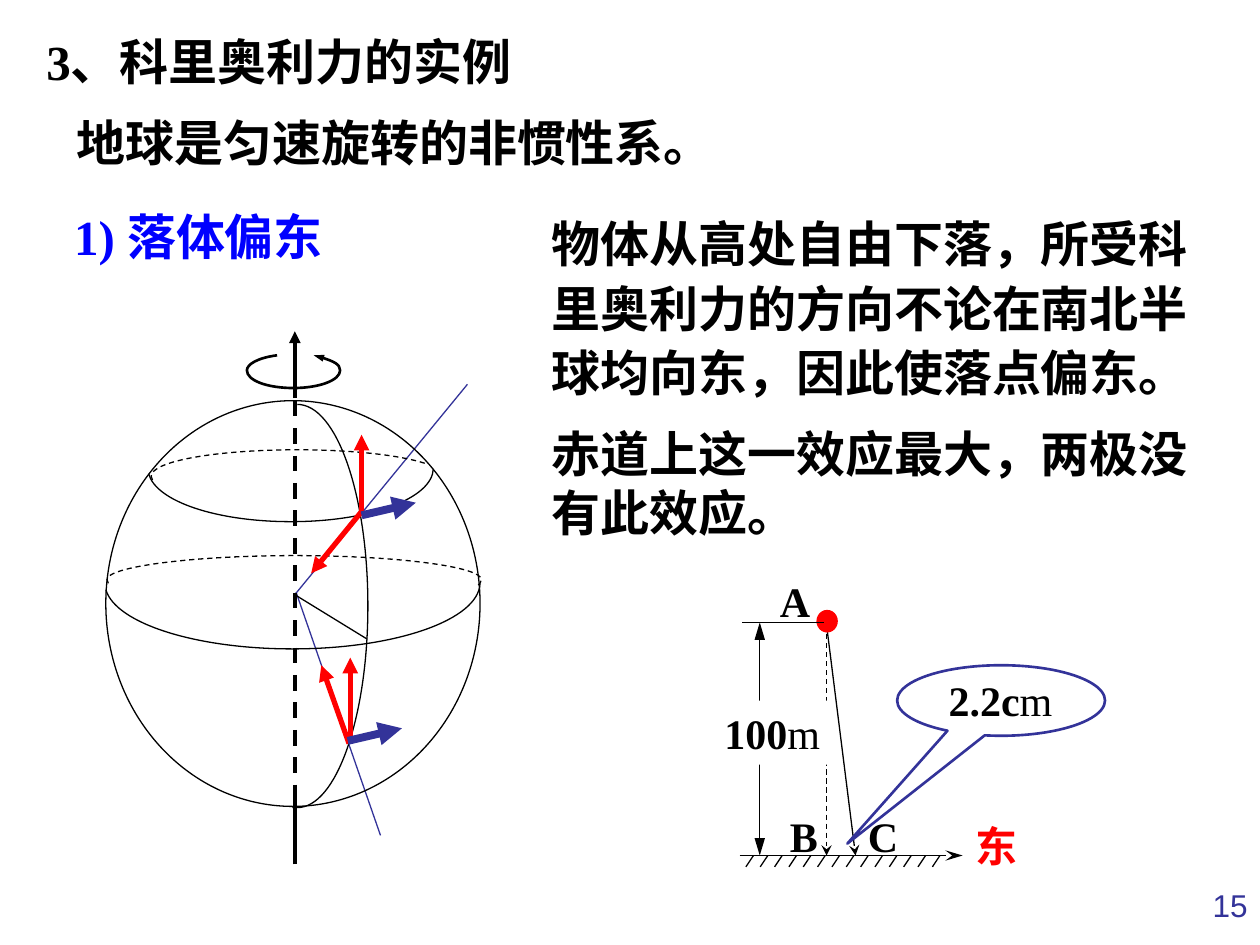
from lxml import etree
from pptx import Presentation
from pptx.dml.color import RGBColor
from pptx.enum.dml import MSO_LINE
from pptx.enum.shapes import MSO_CONNECTOR, MSO_SHAPE
from pptx.enum.text import PP_ALIGN
from pptx.oxml.ns import qn
from pptx.util import Inches, Pt

BLACK = RGBColor(0x00, 0x00, 0x00)
WHITE = RGBColor(0xFF, 0xFF, 0xFF)
RED = RGBColor(0xFF, 0x00, 0x00)
BLUE = RGBColor(0x00, 0x00, 0xFF)
INDIGO = RGBColor(0x33, 0x33, 0x99)

DASH = MSO_LINE.DASH
STRAIGHT = MSO_CONNECTOR.STRAIGHT
ELLIPSE = MSO_SHAPE.OVAL
RECTANGLE = MSO_SHAPE.RECTANGLE
CALLOUT = MSO_SHAPE.OVAL_CALLOUT
LEFT = PP_ALIGN.LEFT
RIGHT = PP_ALIGN.RIGHT

SERIF = "Times New Roman"
SANS = "Arial"

ARROW = {"type": "triangle"}
LONG_ARROW = {"type": "triangle", "len": "lg"}
NARROW_ARROW = {"type": "triangle", "w": "sm"}
STEALTH = {"type": "stealth"}
LONG_STEALTH = {"type": "stealth", "len": "lg"}


def style_line(line, color, width, dash=None, head=None, tail=None):
    line.color.rgb = color
    line.width = Pt(width)
    if dash:
        line.dash_style = dash
    ln = line._get_or_add_ln()
    for tag, arrowhead in (("a:headEnd", head), ("a:tailEnd", tail)):
        if arrowhead:
            etree.SubElement(ln, qn(tag), arrowhead)


def add_line(slide, start, end, color=BLACK, width=0.75, **style):
    points = [Inches(value) for value in (*start, *end)]
    connector = slide.shapes.add_connector(STRAIGHT, *points)
    style_line(connector.line, color, width, **style)
    etree.SubElement(connector._element.spPr, qn("a:effectLst"))


def add_curve(slide, start, segments, width=0.75, **style):
    """Draw an open chain of cubic Bezier segments (control, control, end)."""
    builder = slide.shapes.build_freeform(Inches(start[0]), Inches(start[1]))
    ends = [(Inches(x), Inches(y)) for _, _, (x, y) in segments]
    builder.add_line_segments(ends, close=False)
    curve = builder.convert_to_shape()
    straight_parts = list(curve._element.spPr.iter(qn("a:lnTo")))
    for straight, segment in zip(straight_parts, segments):
        bezier = etree.Element(qn("a:cubicBezTo"))
        for x, y in segment:
            etree.SubElement(bezier, qn("a:pt"), x=str(Inches(x) - curve.left),
                             y=str(Inches(y) - curve.top))
        straight.getparent().replace(straight, bezier)
    curve.shadow.inherit = False
    curve.fill.background()
    style_line(curve.line, BLACK, width, **style)


def add_preset(slide, kind, box, fill=None, line=None, width=0.75):
    shape = slide.shapes.add_shape(kind, *[Inches(value) for value in box])
    shape.shadow.inherit = False
    if fill is None:
        shape.fill.background()
    else:
        shape.fill.solid()
        shape.fill.fore_color.rgb = fill
    if line is None:
        shape.line.fill.background()
    else:
        style_line(shape.line, line, width)
    return shape


def write(shape, text, size, color=BLACK, font=SERIF, bold=True, align=LEFT,
          spacing=None, unit="", wrap=True):
    """Fill the shape with one paragraph; a unit follows in regular weight."""
    frame = shape.text_frame
    frame.word_wrap = wrap
    paragraph = frame.paragraphs[0]
    paragraph.alignment = align
    if spacing:
        paragraph.line_spacing = spacing
    paragraph.font.name = font
    paragraph.font.size = Pt(size)
    paragraph.font.color.rgb = color
    paragraph.font.bold = None if unit else bold
    value_run = paragraph.add_run()
    value_run.text = text
    if unit:
        value_run.font.bold = bold
        paragraph.add_run().text = unit


def add_text(slide, box, text, size=28, **style):
    textbox = slide.shapes.add_textbox(*[Inches(value) for value in box])
    write(textbox, text, size, **style)


def add_paragraphs(slide):
    add_text(slide, (7.67, 6.98, 2.33, 0.52), "15", size=18, color=INDIGO,
             font=SANS, bold=False, align=RIGHT)
    add_text(slide, (0.49, 1.59, 8.61, 0.57), "1) 落体偏东", color=BLUE)
    add_text(slide, (4.28, 1.6, 5.38, 1.66),
             "物体从高处自由下落，所受科里奥利力的方向不论在南北半球均向东，因此使落点偏东。",
             spacing=1.1)
    add_text(slide, (4.28, 3.31, 5.49, 1.04), "赤道上这一效应最大，两极没有此效应。")
    add_text(slide, (0.27, 0.2, 5.92, 0.57), "3、科里奥利力的实例")
    add_text(slide, (0.51, 0.84, 5.91, 0.57), "地球是匀速旋转的非惯性系。")


def add_globe(slide):
    center = (2.34, 4.72)
    axis_x = center[0]
    add_line(slide, (3.02, 6.63), (2.35, 4.7), INDIGO)
    add_line(slide, center, (3.71, 3.05), INDIGO)
    add_preset(slide, ELLIPSE, (0.84, 3.18, 2.97, 3.22), line=BLACK)

    # Equator: front half, then hidden half
    add_curve(slide, (0.84, 4.68), [
        ((0.92, 4.95), (1.56, 5.15), (2.32, 5.15)),
        ((3.14, 5.15), (3.8, 4.92), (3.81, 4.63))])
    add_curve(slide, (0.86, 4.63), [
        ((0.86, 4.62), (0.85, 4.61), (0.85, 4.6)),
        ((0.85, 4.5), (1.52, 4.41), (2.34, 4.41)),
        ((3.16, 4.41), (3.82, 4.5), (3.82, 4.6)),
        ((3.82, 4.62), (3.81, 4.63), (3.79, 4.65))], dash=DASH)

    # Northern parallel: front half, then hidden half
    add_curve(slide, (1.18, 3.76), [
        ((1.24, 3.98), (1.72, 4.14), (2.31, 4.14)),
        ((2.93, 4.14), (3.43, 3.96), (3.44, 3.72))])
    add_curve(slide, (1.21, 3.81), [
        ((1.21, 3.8), (1.2, 3.79), (1.2, 3.78)),
        ((1.2, 3.66), (1.72, 3.57), (2.36, 3.57)),
        ((2.78, 3.57), (3.17, 3.61), (3.38, 3.68))], dash=DASH)

    # Meridian
    add_curve(slide, (2.36, 3.21), [
        ((2.67, 3.21), (2.92, 3.92), (2.92, 4.81)),
        ((2.92, 5.69), (2.67, 6.41), (2.36, 6.41)),
        ((2.35, 6.41), (2.33, 6.41), (2.32, 6.41))])

    # Rotation axis and direction of rotation
    add_line(slide, (axis_x, 3.18), (axis_x, 6.41), width=2.25, dash=DASH)
    add_line(slide, (axis_x, 3.16), (axis_x, 2.63), width=2.25, tail=ARROW)
    add_line(slide, (axis_x, 6.86), (axis_x, 6.33), width=2.25)
    add_line(slide, center, (2.91, 5.07))
    add_curve(slide, (2.49, 2.82), [
        ((2.61, 2.85), (2.7, 2.89), (2.7, 2.94)),
        ((2.7, 3.02), (2.53, 3.08), (2.33, 3.08)),
        ((2.12, 3.08), (1.96, 3.02), (1.96, 2.94)),
        ((1.96, 2.89), (2.05, 2.84), (2.2, 2.82))], width=1.5, head=NARROW_ARROW)

    # Velocity, angular velocity and Coriolis force in each hemisphere
    for start, end, color, width in (
            ((2.87, 4.06), (2.47, 4.55), RED, 3),
            ((2.87, 4.08), (2.87, 3.45), RED, 3),
            ((2.87, 4.09), (3.3, 3.99), INDIGO, 4.5),
            ((2.77, 5.9), (2.55, 5.28), RED, 3),
            ((2.78, 5.86), (2.78, 5.22), RED, 3),
            ((2.76, 5.88), (3.19, 5.78), INDIGO, 4.5)):
        add_line(slide, start, end, color, width, tail=ARROW)


def add_fall_diagram(slide):
    ground_y = 6.79
    drop = (6.56, 4.96)
    add_line(slide, drop, (6.79, ground_y), tail=STEALTH)
    add_line(slide, drop, (drop[0], ground_y), dash=DASH, tail=STEALTH)
    add_line(slide, (5.87, ground_y), (7.64, ground_y), tail=LONG_STEALTH)

    hatch_count, first_x, last_x = 14, 5.98, 7.46
    for i in range(hatch_count):
        x = first_x + (last_x - first_x) * i / (hatch_count - 1)
        add_line(slide, (x, ground_y), (x - 0.06, ground_y + 0.09))

    for label, x, y, width, color in (
            ("A", 6.09, 4.52, 0.38, BLACK), ("B", 6.17, 6.38, 0.38, BLACK),
            ("C", 6.79, 6.38, 0.54, BLACK), ("东", 7.64, 6.46, 0.54, RED)):
        add_text(slide, (x, y, width, 0.5), label, size=24, color=color)
    add_preset(slide, ELLIPSE, (6.48, 4.84, 0.17, 0.18), fill=RED)

    add_line(slide, (5.89, 4.94), (6.54, 4.94))
    add_line(slide, (6.03, 4.94), (6.03, ground_y), head=LONG_ARROW, tail=LONG_ARROW)
    height_label = add_preset(slide, RECTANGLE, (5.65, 5.56, 0.97, 0.51), fill=WHITE)
    write(height_label, "100", 24, unit="m", wrap=False)

    deviation = add_preset(slide, CALLOUT, (7.12, 5.28, 1.65, 0.56),
                           line=INDIGO, width=1.5)
    deviation.adjustments[0] = -0.74
    deviation.adjustments[1] = 2.03
    add_text(slide, (7.43, 5.3, 1.57, 0.51), "2.2c", size=24, unit="m")


def main():
    presentation = Presentation()
    presentation.slide_width = Inches(10)
    presentation.slide_height = Inches(7.5)
    slide = presentation.slides.add_slide(presentation.slide_layouts[6])
    add_paragraphs(slide)
    add_globe(slide)
    add_fall_diagram(slide)
    presentation.save("out.pptx")


if __name__ == "__main__":
    main()
